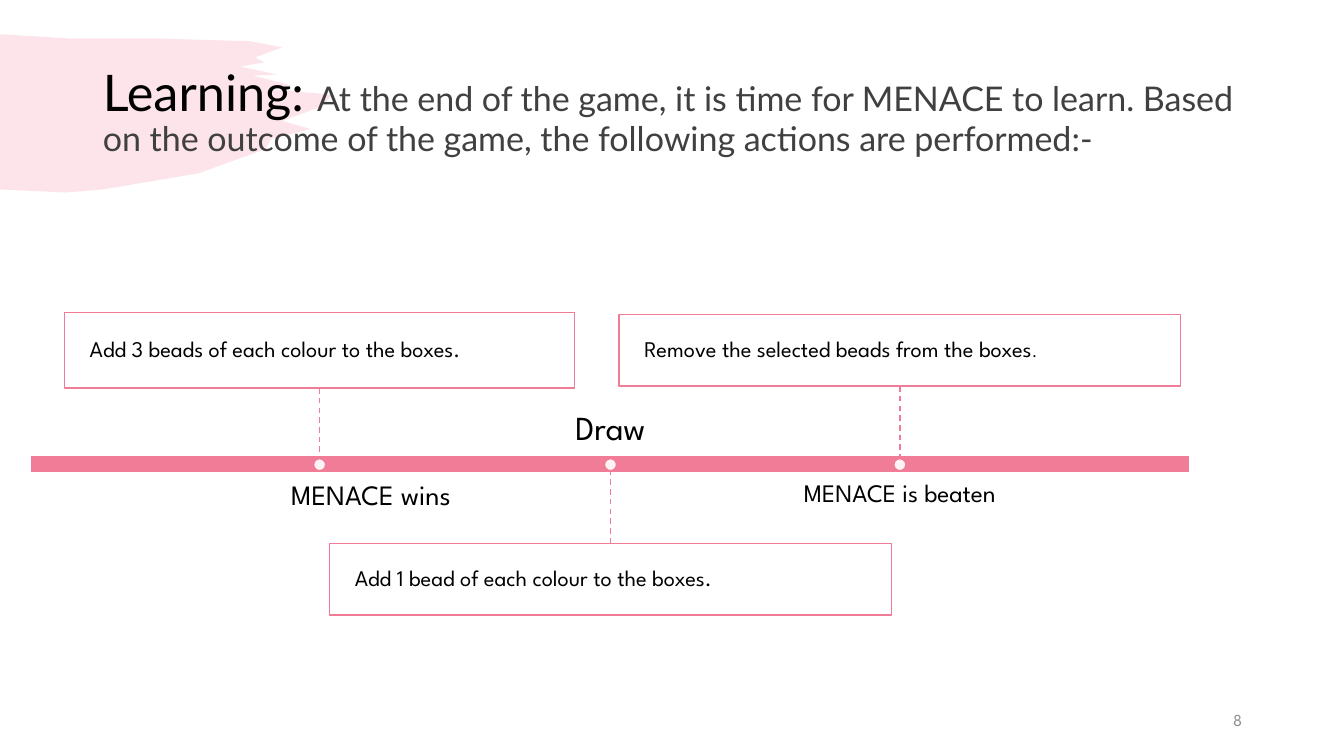
import pptx
import pptx.dml.color
import pptx.enum.dml
import pptx.enum.shapes
import pptx.enum.text
import pptx.oxml.ns
import pptx.util
from lxml import etree

Inches = pptx.util.Inches
Pt = pptx.util.Pt
Shape = pptx.enum.shapes.MSO_SHAPE
Align = pptx.enum.text.PP_ALIGN
Anchor = pptx.enum.text.MSO_ANCHOR
qn = pptx.oxml.ns.qn

PINK, WHITE, BLACK = "F07C98", "FFFFFF", "000000"
BODY_FONT, TITLE_FONT = "League Spartan", "Lato"
AXIS_TOP, AXIS_HEIGHT = 4.52, 0.17
AXIS_MIDDLE = AXIS_TOP + AXIS_HEIGHT / 2
DOT_SIZE = 0.12
LABEL_WIDTH, LABEL_HEIGHT = 4.6, 0.48

# Outline of the brush stroke in inches, clockwise from the top left.
BRUSH_OUTLINE = [
    (0, 0.34), (0.66, 0.38), (1.51, 0.38), (2.48, 0.41), (2.8, 0.47),
    (2.53, 0.57), (2.62, 0.62), (2.38, 0.66), (2.75, 0.74), (2.51, 0.75),
    (2.9, 0.85), (2.63, 0.88), (3.3, 0.94), (3.18, 1.06), (2.8, 1.2),
    (3.08, 1.28), (2.69, 1.38), (2.63, 1.48), (1.97, 1.72), (1.02, 1.88),
    (0.65, 1.91), (0, 1.88),
]


def rgb(value):
    return pptx.dml.color.RGBColor.from_string(value)


def paint(shape, fill, line=None, opacity=100):
    shape.shadow.inherit = False
    shape.fill.solid()
    shape.fill.fore_color.rgb = rgb(fill)
    if opacity < 100:
        color = shape.element.spPr.find(qn("a:solidFill"))[0]
        etree.SubElement(color, qn("a:alpha"), val=str(opacity * 1000))
    if line:
        shape.line.color.rgb = rgb(line)
        shape.line.width = Pt(1)
    else:
        shape.line.fill.background()


def write(shape, *spans, font=BODY_FONT, align=Align.LEFT,
          anchor=Anchor.MIDDLE, margins=(0, 0)):
    """Fill one paragraph with spans of (text, size, colour)."""
    frame = shape.text_frame
    frame.word_wrap = True
    frame.vertical_anchor = anchor
    frame.margin_left = frame.margin_right = Inches(margins[0])
    frame.margin_top = frame.margin_bottom = Inches(margins[1])
    para = frame.paragraphs[0]
    para.alignment = align
    para.line_spacing = 0.9
    for text, size, color in spans:
        span = para.add_run()
        span.text = text
        span.font.name = font
        span.font.size = Pt(size)
        span.font.color.rgb = rgb(color)


def add_shape(page, kind, left, top, width, height, **colors):
    shape = page.shapes.add_shape(kind, Inches(left), Inches(top),
                                  Inches(width), Inches(height))
    paint(shape, **colors)
    return shape


def add_text(page, left, top, width, height, *spans, **layout):
    box = page.shapes.add_textbox(Inches(left), Inches(top),
                                  Inches(width), Inches(height))
    write(box, *spans, **layout)


def add_brush_stroke(page):
    start, *rest = [(Inches(x), Inches(y)) for x, y in BRUSH_OUTLINE]
    builder = page.shapes.build_freeform(*start)
    builder.add_line_segments(rest)
    stroke = builder.convert_to_shape()
    paint(stroke, PINK, opacity=20)
    # Behind the title: the first two children are group properties.
    stroke.element.getparent().insert(2, stroke.element)


def add_title(page):
    title = page.shapes.title
    title.left, title.top = Inches(0.92), Inches(0.4)
    title.width, title.height = Inches(11.5), Inches(1.45)
    write(title, ("Learning: ", 36, BLACK),
          ("At the end of the game, it is time for MENACE to learn. Based on "
           "the outcome of the game, the following actions are performed:-",
           24.3, "404040"), font=TITLE_FONT, margins=(0.1, 0.05))


def add_stem(page, box, box_side):
    x = box.left + box.width // 2
    stem = page.shapes.add_connector(
        pptx.enum.shapes.MSO_CONNECTOR.STRAIGHT,
        x, box.top, x, Inches(AXIS_MIDDLE))
    stem.begin_connect(box, box_side)
    stem.line.color.rgb = rgb(PINK)
    stem.line.width = Pt(1)
    stem.line.dash_style = pptx.enum.dml.MSO_LINE.DASH
    etree.SubElement(stem.element.spPr, qn("a:effectLst"))


def add_outcome(page, left, top, width, height, action, label, label_size,
                label_shift=0.0):
    """Add an action box, its stem and dot, and a label across the axis."""
    above = top < AXIS_TOP
    center = left + width / 2
    box = add_shape(page, Shape.RECTANGLE, left, top, width, height,
                    fill=WHITE, line=PINK, opacity=90)
    write(box, *action, margins=(0.25, 0.04))
    add_stem(page, box, 2 if above else 0)
    add_shape(page, Shape.OVAL, center - DOT_SIZE / 2, 4.55,
              DOT_SIZE, DOT_SIZE, fill=WHITE, line=PINK, opacity=90)
    add_text(page, center - LABEL_WIDTH / 2 + label_shift,
             4.77 if above else 3.96, LABEL_WIDTH, LABEL_HEIGHT,
             (label, label_size, BLACK), align=Align.CENTER,
             anchor=Anchor.TOP if above else Anchor.BOTTOM)


def main():
    deck = pptx.Presentation()
    deck.slide_width, deck.slide_height = Inches(13.33), Inches(7.5)
    page = deck.slides.add_slide(deck.slide_layouts[5])
    add_brush_stroke(page)
    add_title(page)
    add_text(page, 9.42, 6.95, 3, 0.4, ("8", 12, "8C8C8C"),
             align=Align.RIGHT, margins=(0.1, 0.05))
    add_shape(page, Shape.RECTANGLE, 0.3, AXIS_TOP, 11.5, AXIS_HEIGHT,
              fill=PINK, line=WHITE)
    add_outcome(page, 0.64, 3.1, 5.06, 0.75,
                [("Add 3 beads of each colour to the boxes.", 16, BLACK)],
                "MENACE wins", 20, label_shift=0.51)
    add_outcome(page, 3.27, 5.39, 5.57, 0.71,
                [("Add 1 bead of each colour to the boxes.", 16, BLACK)],
                "Draw", 24)
    add_outcome(page, 6.14, 3.12, 5.57, 0.71,
                [("Remove the selected beads from the boxes", 16, BLACK),
                 (".", 12, BLACK)], "MENACE is beaten", 18)
    deck.save("out.pptx")


if __name__ == "__main__":
    main()
